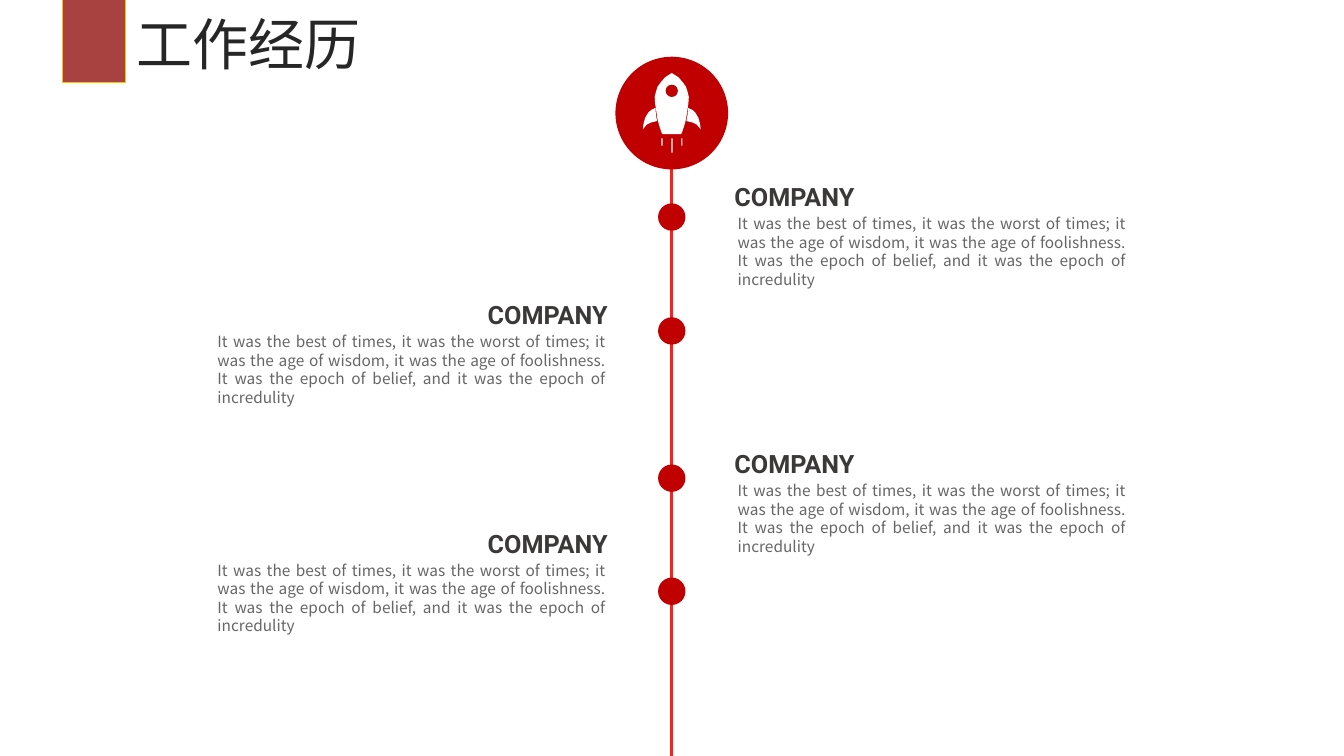
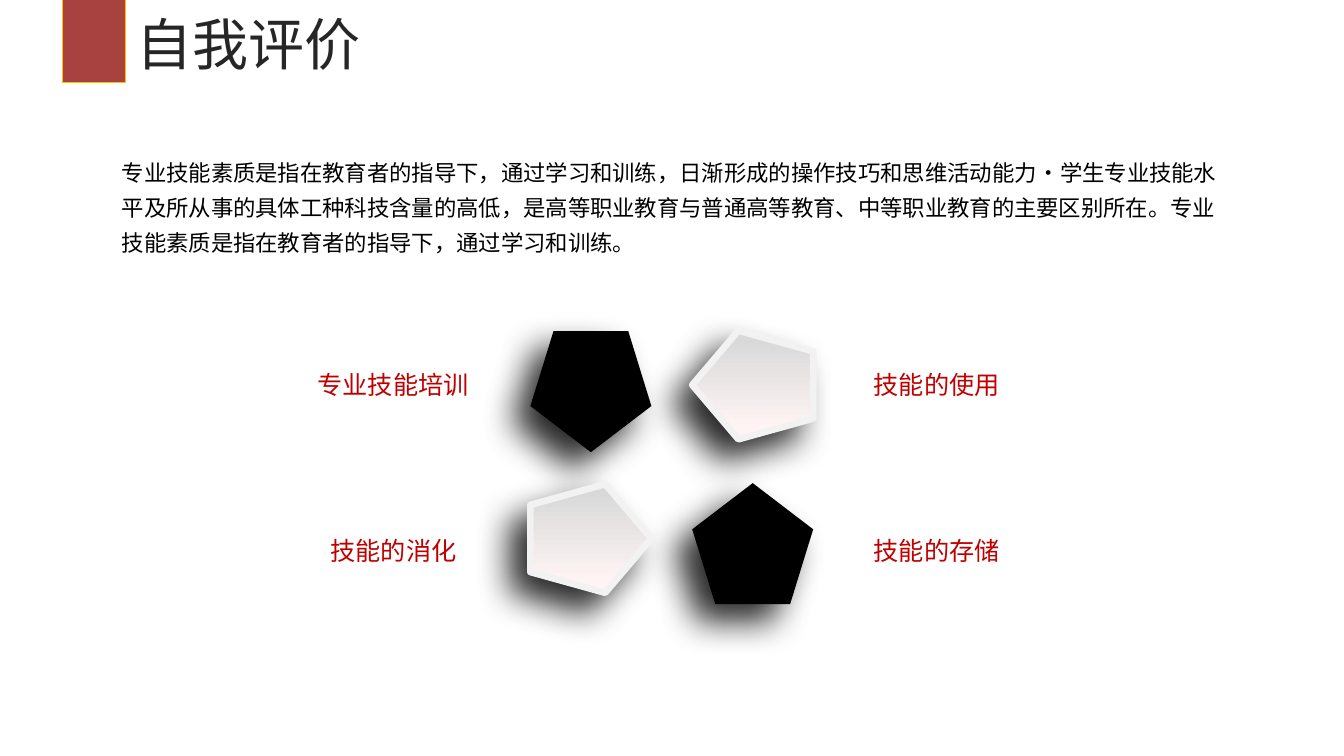
from lxml.etree import SubElement
from pptx import Presentation
from pptx.dml.color import RGBColor
from pptx.enum.shapes import MSO_CONNECTOR, MSO_SHAPE
from pptx.enum.text import MSO_ANCHOR, MSO_AUTO_SIZE, PP_ALIGN
from pptx.oxml.ns import qn
from pptx.util import Cm, Pt

# Colours and fonts
RED = RGBColor(0xC0, 0x00, 0x00)
BRIGHT_RED = RGBColor(0xFE, 0x1E, 0x1A)
BAND_RED = RGBColor(0x8B, 0x03, 0x01)
BAND_EDGE = RGBColor(0xFF, 0xC0, 0x00)
WHITE = RGBColor(0xFF, 0xFF, 0xFF)
BLACK = RGBColor(0x00, 0x00, 0x00)
TITLE_GREY = RGBColor(0x26, 0x26, 0x26)
HEADING_GREY = RGBColor(0x3B, 0x38, 0x38)
BODY_GREY = RGBColor(0x66, 0x66, 0x66)
PALE_PINK = RGBColor(0xFF, 0xF4, 0xF4)
SILVER = RGBColor(0xD9, 0xD9, 0xD9)
EDGE_GREY = RGBColor(0xF2, 0xF2, 0xF2)
TITLE_FONT = "Noto Sans CJK JP"
BODY_FONT = "Noto Sans CJK SC"
HEADING_FONT = "Roboto"

# Page and timeline measures in centimetres
PAGE_WIDTH, PAGE_HEIGHT = 33.87, 19.05
AXIS = 16.93
BADGE_CENTRE, BADGE_SIZE = 2.85, 2.84
DOT_SIZE = 0.69

# Rocket outlines around the badge centre, right half only
HULL = [(0, -1.01), (0.17, -0.9), (0.29, -0.76), (0.36, -0.66), (0.4, -0.53),
        (0.43, -0.41), (0.42, -0.25), (0.39, -0.05), (0.36, 0.15),
        (0.32, 0.3), (0.25, 0.51), (0.23, 0.53)]
FIN = [(0.73, 0.41), (0.63, 0.29), (0.53, 0.24), (0.37, 0.2), (0.4, 0.04),
       (0.41, -0.13), (0.52, -0.08), (0.6, 0), (0.67, 0.12), (0.71, 0.26)]

# Slide texts
STORY = ("It was the best of times, it was the worst of times; it was the age "
         "of wisdom, it was the age of foolishness. It was the epoch of belief, "
         "and it was the epoch of incredulity")
SELF_REVIEW = (
    "专业技能素质是指在教育者的指导下，通过学习和训练，日渐形成的操作技巧和思维活动能力·"
    "学生专业技能水平及所从事的具体工种科技含量的高低，是高等职业教育与普通高等教育、"
    "中等职业教育的主要区别所在。专业技能素质是指在教育者的指导下，通过学习和训练。")


def write_text(shape, text, size, color, font=BODY_FONT, bold=False,
               align=PP_ALIGN.LEFT, spacing=None, wrap=True):
    frame = shape.text_frame
    frame.auto_size = MSO_AUTO_SIZE.NONE
    frame.word_wrap = wrap
    frame.vertical_anchor = MSO_ANCHOR.TOP
    paragraph = frame.paragraphs[0]
    paragraph.alignment = align
    if spacing:
        paragraph.line_spacing = spacing
    run = paragraph.add_run()
    run.text = text
    run.font.name = font
    run.font.size = Pt(size)
    run.font.bold = bold
    run.font.color.rgb = color
    # East Asian letters take their font from a:ea
    properties = run.font._element
    SubElement(properties, qn("a:ea")).set("typeface", font)


class Deck:
    """Holds the style and the current slide."""

    def __init__(self):
        self.presentation = Presentation()
        self.presentation.slide_width = Cm(PAGE_WIDTH)
        self.presentation.slide_height = Cm(PAGE_HEIGHT)
        self.slide = None

    def new_slide(self, title):
        layout = self.presentation.slide_layouts.get_by_name("Title Only")
        self.slide = self.presentation.slides.add_slide(layout)
        # Band beside the title
        band = self.shape(MSO_SHAPE.RECTANGLE, 1.57, -0.76, 1.6, 2.84, BAND_RED)
        band.line.color.rgb = BAND_EDGE
        band.line.width = Pt(1)
        color = band.element.spPr.find(qn("a:solidFill")).find(qn("a:srgbClr"))
        SubElement(color, qn("a:alpha")).set("val", "75000")
        # Title placeholder
        placeholder = self.slide.shapes.title
        placeholder.left, placeholder.top = Cm(3.18), Cm(0.1)
        placeholder.width, placeholder.height = Cm(6.32), Cm(1.96)
        write_text(placeholder, title, size=40, color=TITLE_GREY, font=TITLE_FONT)

    def shape(self, kind, left, top, width, height, color, parent=None):
        shapes = (parent or self.slide).shapes
        shape = shapes.add_shape(kind, Cm(left), Cm(top), Cm(width), Cm(height))
        shape.shadow.inherit = False
        shape.fill.solid()
        shape.fill.fore_color.rgb = color
        shape.line.fill.background()
        return shape

    def circle(self, x, y, size, color, parent=None):
        return self.shape(MSO_SHAPE.OVAL, x - size / 2, y - size / 2,
                          size, size, color, parent)

    def text(self, text, left, top, width, height, **text_format):
        box = self.slide.shapes.add_textbox(Cm(left), Cm(top), Cm(width), Cm(height))
        write_text(box, text, **text_format)

    def line(self, x1, y1, x2, y2, color, width):
        connector = self.slide.shapes.add_connector(
            MSO_CONNECTOR.STRAIGHT, Cm(x1), Cm(y1), Cm(x2), Cm(y2))
        connector.line.color.rgb = color
        connector.line.width = Pt(width)
        SubElement(connector.element.spPr, qn("a:effectLst"))

    def outline(self, points, parent):
        corners = [(Cm(AXIS + x), Cm(BADGE_CENTRE + y)) for x, y in points]
        builder = parent.shapes.build_freeform(*corners[0])
        builder.add_line_segments(corners[1:], close=True)
        shape = builder.convert_to_shape()
        shape.shadow.inherit = False
        shape.fill.solid()
        shape.fill.fore_color.rgb = WHITE
        shape.line.fill.background()

    def rocket_badge(self):
        group = self.slide.shapes.add_group_shape()
        self.circle(AXIS, BADGE_CENTRE, BADGE_SIZE, RED, group)
        self.outline(HULL + [(-x, y) for x, y in HULL[:0:-1]], group)
        for side in (-1, 1):
            self.outline([(side * x, y) for x, y in FIN], group)
        self.circle(AXIS, BADGE_CENTRE - 0.56, 0.31, RED, group)
        # Exhaust flames
        for offset, length in ((-0.25, 0.18), (0, 0.36), (0.25, 0.18)):
            self.shape(MSO_SHAPE.RECTANGLE, AXIS + offset - 0.01,
                       BADGE_CENTRE + 0.64, 0.03, length, WHITE, group)

    def timeline_entry(self, dot_y, text_top, on_right):
        heading_left, story_left = (18.26, 18.34) if on_right else (12.04, 5.23)
        self.circle(AXIS, dot_y, DOT_SIZE, RED)
        self.text(STORY, story_left, text_top + 0.83, 10.29, 2.13, size=11,
                  color=BODY_GREY, align=PP_ALIGN.JUSTIFY)
        self.text("COMPANY", heading_left, text_top, 4.11, 1.02, size=18,
                  color=HEADING_GREY, font=HEADING_FONT, bold=True)

    def pentagon(self, x, y, rotation, width, height, framed):
        shape = self.shape(MSO_SHAPE.REGULAR_PENTAGON, x - width / 2,
                           y - height / 2, width, height, BLACK)
        shape.rotation = rotation
        if framed:
            shape.fill.gradient()
            # The pale end stays at the bottom whichever way the shape turns
            shape.fill.gradient_angle = 270 - rotation
            stops = zip(shape.fill.gradient_stops, (0.1, 0.92), (PALE_PINK, SILVER))
            for stop, position, color in stops:
                stop.position = position
                stop.color.rgb = color
            shape.line.color.rgb = EDGE_GREY
            shape.line.width = Pt(4.75)
        # Soft shadow towards the lower left
        effects = shape.element.spPr.find(qn("a:effectLst"))
        shadow = SubElement(effects, qn("a:outerShdw"), blurRad=str(Pt(25)),
                            dist=str(Pt(18)), dir="8100000", rotWithShape="0")
        color = SubElement(shadow, qn("a:srgbClr"), val=str(BLACK))
        SubElement(color, qn("a:alpha"), val="84000")


def build_experience(deck):
    deck.new_slide("工作经历")
    deck.line(AXIS, BADGE_CENTRE - BADGE_SIZE / 2, AXIS, PAGE_HEIGHT, BRIGHT_RED, 2.25)
    deck.rocket_badge()
    entries = ((5.47, 4.45), (8.34, 7.42), (12.05, 11.18), (14.9, 13.18))
    for index, (dot_y, text_top) in enumerate(entries):
        deck.timeline_entry(dot_y, text_top, on_right=index % 2 == 0)


def build_self_review(deck):
    deck.new_slide("自我评价")
    deck.text(SELF_REVIEW, 2.82, 3.68, 28.22, 2.84, size=16, color=BLACK, spacing=1.3)
    # Pentagons: centre, rotation, framed or plain
    pentagons = ((14.89, 9.87, 180, False), (18.97, 9.7, 270, True),
                 (18.97, 13.7, 0, False), (14.89, 13.57, 90, True))
    for x, y, rotation, framed in pentagons:
        width = 2.74 if framed else 3.05
        deck.pentagon(x, y, rotation, width, 3.05, framed)
    labels = (("专业技能培训", 7.75, 9.19, 4.37), ("技能的使用", 21.77, 9.19, 3.71),
              ("技能的消化", 8.08, 13.36, 3.71), ("技能的存储", 21.77, 13.36, 3.71))
    for label, left, top, width in labels:
        deck.text(label, left, top, width, 1.02, size=18, color=RED, wrap=False)


def main():
    deck = Deck()
    build_experience(deck)
    build_self_review(deck)
    deck.presentation.save("out.pptx")


if __name__ == "__main__":
    main()
